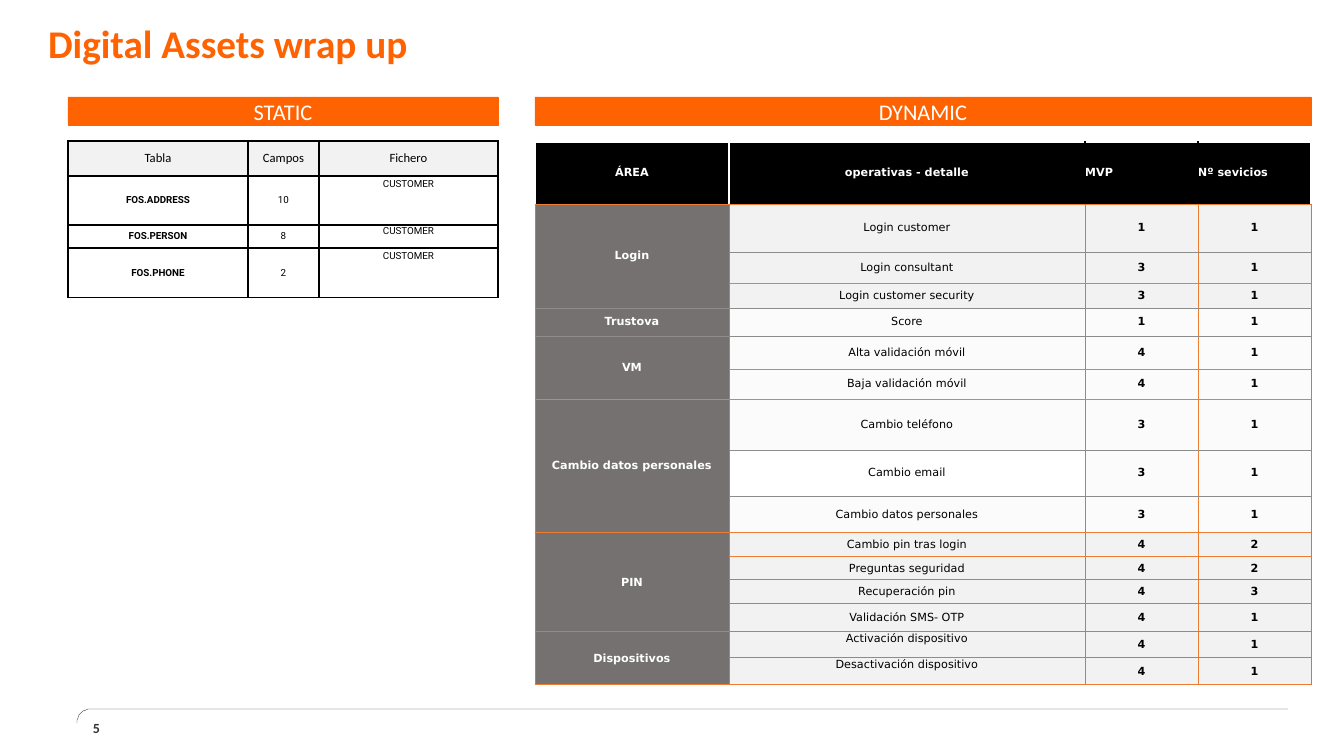
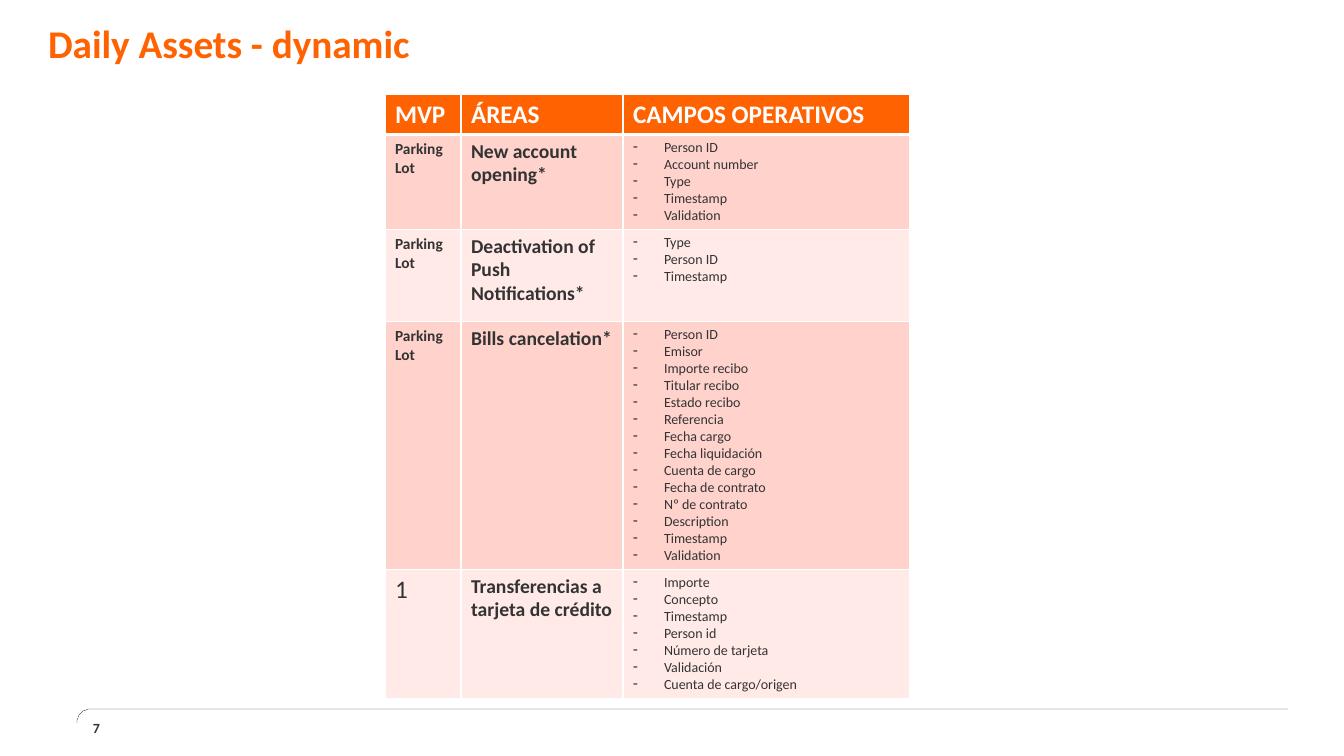
from math import cos, pi, sin

from lxml.etree import SubElement
from pptx import Presentation
from pptx.dml.color import RGBColor
from pptx.enum.shapes import MSO_SHAPE as Preset
from pptx.enum.text import MSO_ANCHOR as Anchor, PP_ALIGN as Align
from pptx.oxml import parse_xml
from pptx.oxml.ns import nsdecls, qn
from pptx.util import Pt

PIXEL = 914400 / 100.8
ORANGE, DARK, WHITE, BLACK = "FF6200", "333333", "FFFFFF", "000000"
AREA_GREY, PALE, PALER = "757171", "F2F2F2", "FBFBFB"
RULE_ORANGE, RULE_GREY = "ED7D31", "8C8C8C"
PINK, PALE_PINK = "FFD3CC", "FFEAE7"
BODY, MONO, TABLE_FONT = "Calibri", "Roboto", "DejaVu Sans"


# Shared helpers
def px(length):
    return round(length * PIXEL)


def place(box):
    return [px(length) for length in box]


def color(hex_string):
    return RGBColor.from_string(hex_string)


def style(para, size, hue, font=BODY, bold=False, align=Align.LEFT):
    para.alignment = align
    para.font.size = Pt(size)
    para.font.name = font
    para.font.bold = bold
    para.font.color.rgb = color(hue)


def set_margins(frame, margin):
    frame.margin_left = frame.margin_right = px(margin)
    frame.margin_top = frame.margin_bottom = px(margin)


def add_text(page, box, text, size, hue):
    frame = page.shapes.add_textbox(*place(box)).text_frame
    frame.word_wrap = True
    frame.vertical_anchor = Anchor.MIDDLE
    set_margins(frame, 0)
    para = frame.paragraphs[0]
    para.text = text
    style(para, size, hue, bold=True)
    return para


def add_grid(page, left, top, widths, heights):
    box = left, top, sum(widths), sum(heights)
    grid = page.shapes.add_table(len(heights), len(widths), *place(box)).table
    grid.first_row = grid.horz_banding = False
    for column, width in zip(grid.columns, widths):
        column.width = px(width)
    for row, height in zip(grid.rows, heights):
        row.height = px(height)
    return grid


def set_edges(cell, edges):
    """Each edge, in the order left, right, top, bottom, is (hue, points) or None."""
    properties = cell._tc.get_or_add_tcPr()
    for side, edge in zip("LRTB", edges):
        hue, points = edge or (WHITE, 0)
        line = SubElement(properties, qn(f"a:ln{side}"), w=str(Pt(points)))
        if edge:
            fill = SubElement(line, qn("a:solidFill"))
            SubElement(fill, qn("a:srgbClr"), val=hue)
        else:
            SubElement(line, qn("a:noFill"))


def fill_cell(cell, lines, fill, edges, size, hue, font=BODY, bold=False,
              align=Align.CENTER, anchor=Anchor.MIDDLE, tight=True):
    set_edges(cell, edges)
    cell.fill.solid()
    cell.fill.fore_color.rgb = color(fill)
    cell.vertical_anchor = anchor
    if tight:
        set_margins(cell, 0)
    cell.text = "\n".join(lines)
    for para in cell.text_frame.paragraphs:
        style(para, size, hue, font, bold, align)


def add_dashes(cell):
    for para in cell.text_frame.paragraphs:
        properties = para._p.get_or_add_pPr()
        properties.set("marL", str(px(31)))
        properties.set("indent", str(-px(31)))
        properties.insert(0, parse_xml(f'<a:buChar {nsdecls("a")} char="-"/>'))


# Title and footer of every page
def add_footer(page, box, number):
    left, top, width, height = box
    arc = [(left + height * (1 - sin(turn)), top + height * (1 - cos(turn)))
           for turn in (step * pi / 16 for step in range(9))]
    builder = page.shapes.build_freeform(left + width, top, scale=PIXEL)
    builder.add_line_segments(arc, close=False)
    rule = builder.convert_to_shape()
    rule.shadow.inherit = False
    rule.fill.background()
    rule.line.color.rgb = color(DARK)
    rule.line.width = Pt(0.25)
    add_text(page, (left + 16, top + 8, 54, 21), number, 10, DARK)


def add_page(deck, title, number):
    page = deck.slides.add_slide(deck.slide_layouts[6])
    add_footer(page, (77, 709, 1211, 14), number)
    add_text(page, (48, 0, 1156, 94), title, 28, ORANGE).line_spacing = Pt(28)
    return page


def add_banner(page, box, text):
    banner = page.shapes.add_shape(Preset.RECTANGLE, *place(box))
    banner.shadow.inherit = False
    banner.fill.solid()
    banner.fill.fore_color.rgb = color(ORANGE)
    banner.line.color.rgb = color(ORANGE)
    banner.line.width = Pt(0.5)
    frame = banner.text_frame
    frame.vertical_anchor = Anchor.TOP
    set_margins(frame, 4)
    para = frame.paragraphs[0]
    para.text = text
    para.line_spacing = 0.9
    style(para, 16, WHITE, align=Align.CENTER)


# Static assets: tables, field counts and files
STATIC_ROWS = [
    ("Tabla", "Campos", "Fichero"),
    ("FOS.ADDRESS", "10", "CUSTOMER"),
    ("", "", ""),
    ("FOS.PERSON", "8", "CUSTOMER"),
    ("FOS.PHONE", "2", "CUSTOMER"),
    ("", "", ""),
]


def add_static_table(page, left, top):
    grid = add_grid(page, left, top, [180, 71, 179], [35, 17, 32, 23, 17, 33])
    edge = BLACK, 1
    split_rows = [1, 4]
    for r, texts in enumerate(STATIC_ROWS):
        for c, text in enumerate(texts):
            above = None if c == 2 and r - 1 in split_rows else edge
            below = None if c == 2 and r in split_rows else edge
            heading = r == 0
            fill_cell(grid.cell(r, c), [text], PALE if heading else WHITE,
                      (edge, edge, above, below), 9 if heading else 7, BLACK,
                      BODY if heading else MONO, bold=not heading and c == 0,
                      anchor=Anchor.TOP if (r, c) == (3, 2) else Anchor.MIDDLE)
    for r in split_rows:
        for c in range(2):
            grid.cell(r, c).merge(grid.cell(r + 1, c))


# Dynamic assets: operations by area, with MVP and number of services
DYNAMIC_HEADS = ["ÁREA", "operativas - detalle", "MVP", "Nº sevicios"]
AREAS = [
    ("Login", PALE, [("Login customer", 1, 1), ("Login consultant", 3, 1),
                     ("Login customer security", 3, 1)]),
    ("Trustova", PALER, [("Score", 1, 1)]),
    ("VM", PALER, [("Alta validación móvil", 4, 1),
                   ("Baja validación móvil", 4, 1)]),
    ("Cambio datos personales", PALER, [("Cambio teléfono", 3, 1),
                                        ("Cambio email", 3, 1),
                                        ("Cambio datos personales", 3, 1)]),
    ("PIN", PALE, [("Cambio pin tras login", 4, 2), ("Preguntas seguridad", 4, 2),
                   ("Recuperación pin", 4, 3), ("Validación SMS- OTP", 4, 1)]),
    ("Dispositivos", PALE, [("Activación dispositivo", 4, 1),
                            ("Desactivación dispositivo", 4, 1)]),
]
ORANGE_BELOW = {0, 2, 5, 6, 9, 10, 15}


def row_edge(row):
    return (RULE_ORANGE if row in ORANGE_BELOW else RULE_GREY), 0.5


def add_dynamic_table(page, left, top):
    grid = add_grid(page, left, top, [194, 356, 113, 113],
                    [62, 48, 31, 25, 28, 33, 30, 51, 46, 37, 24, 23, 24, 28, 26, 27])
    white, black = (WHITE, 1), (BLACK, 1)
    head_sides = [white, white, black, black, white]
    for c, text in enumerate(DYNAMIC_HEADS):
        edges = head_sides[c], head_sides[c + 1], white, row_edge(0)
        fill_cell(grid.cell(0, c), [text], BLACK, edges, 8, WHITE, TABLE_FONT,
                  bold=True, align=Align.CENTER if c < 2 else Align.LEFT)

    grey, orange = (RULE_GREY, 0.5), (RULE_ORANGE, 0.5)
    sides = [grey, grey, grey, orange, grey]
    first = 1
    for area, tint, operations in AREAS:
        last = first + len(operations) - 1
        for r, operation in enumerate(operations, first):
            fill_cell(grid.cell(r, 0), [area if r == first else ""], AREA_GREY,
                      (grey, grey, row_edge(first - 1), row_edge(last)),
                      8, WHITE, TABLE_FONT, bold=True)
            for c, value in enumerate(operation, 1):
                plain = value == "Cambio email"
                raised = c == 1 and area == "Dispositivos"
                fill_cell(grid.cell(r, c), [str(value)], WHITE if plain else tint,
                          (sides[c], sides[c + 1], row_edge(r - 1), row_edge(r)),
                          8, BLACK, TABLE_FONT, bold=c > 1,
                          anchor=Anchor.TOP if raised else Anchor.MIDDLE)
        if last > first:
            grid.cell(first, 0).merge(grid.cell(last, 0))
        first = last + 1


# Daily assets: operational fields by area
FIELD_HEADS = ["MVP", "ÁREAS", "CAMPOS OPERATIVOS"]
FIELD_ROWS = [
    ("Parking Lot", "New account opening*",
     ["Person ID", "Account number", "Type", "Timestamp", "Validation"]),
    ("Parking Lot", "Deactivation of Push Notifications*",
     ["Type", "Person ID", "Timestamp"]),
    ("Parking Lot", "Bills cancelation*",
     ["Person ID", "Emisor", "Importe recibo", "Titular recibo", "Estado recibo",
      "Referencia", "Fecha cargo", "Fecha liquidación", "Cuenta de cargo",
      "Fecha de contrato", "Nº de contrato", "Description", "Timestamp",
      "Validation"]),
    ("1", "Transferencias a tarjeta de crédito",
     ["Importe", "Concepto", "Timestamp", "Person id", "Número de tarjeta",
      "Validación", "Cuenta de cargo/origen"]),
]


def add_field_table(page, left, top):
    grid = add_grid(page, left, top, [76, 162, 287], [40, 95, 92, 248, 129])
    thin, thick = (WHITE, 1), (WHITE, 3)
    layout = dict(align=Align.LEFT, anchor=Anchor.TOP, tight=False)
    for c, text in enumerate(FIELD_HEADS):
        fill_cell(grid.cell(0, c), [text], ORANGE, (thin, thin, thin, thick),
                  18, WHITE, bold=True, **layout)
    for r, (stage, area, fields) in enumerate(FIELD_ROWS, 1):
        tint = PINK if r % 2 else PALE_PINK
        edges = thin, thin, thick if r == 1 else thin, thin
        parked = stage == "Parking Lot"
        columns = [([stage], 11 if parked else 18, parked),
                   ([area], 14, True), (fields, 10, False)]
        for c, (lines, size, bold) in enumerate(columns):
            fill_cell(grid.cell(r, c), lines, tint, edges, size, DARK,
                      bold=bold, **layout)
        add_dashes(grid.cell(r, 2))


# Pages
def build_wrap_up(deck):
    page = add_page(deck, "Digital Assets wrap up", "5")
    add_banner(page, (68, 97, 430, 28), "STATIC")
    add_banner(page, (535, 97, 776, 28), "DYNAMIC")
    add_static_table(page, 68, 141)
    add_dynamic_table(page, 535, 142)


def build_daily(deck):
    page = add_page(deck, "Daily Assets - dynamic", "7")
    add_field_table(page, 385, 94)


deck = Presentation()
deck.slide_width, deck.slide_height = px(1344), px(756)
build_wrap_up(deck)
build_daily(deck)
deck.save("out.pptx")
